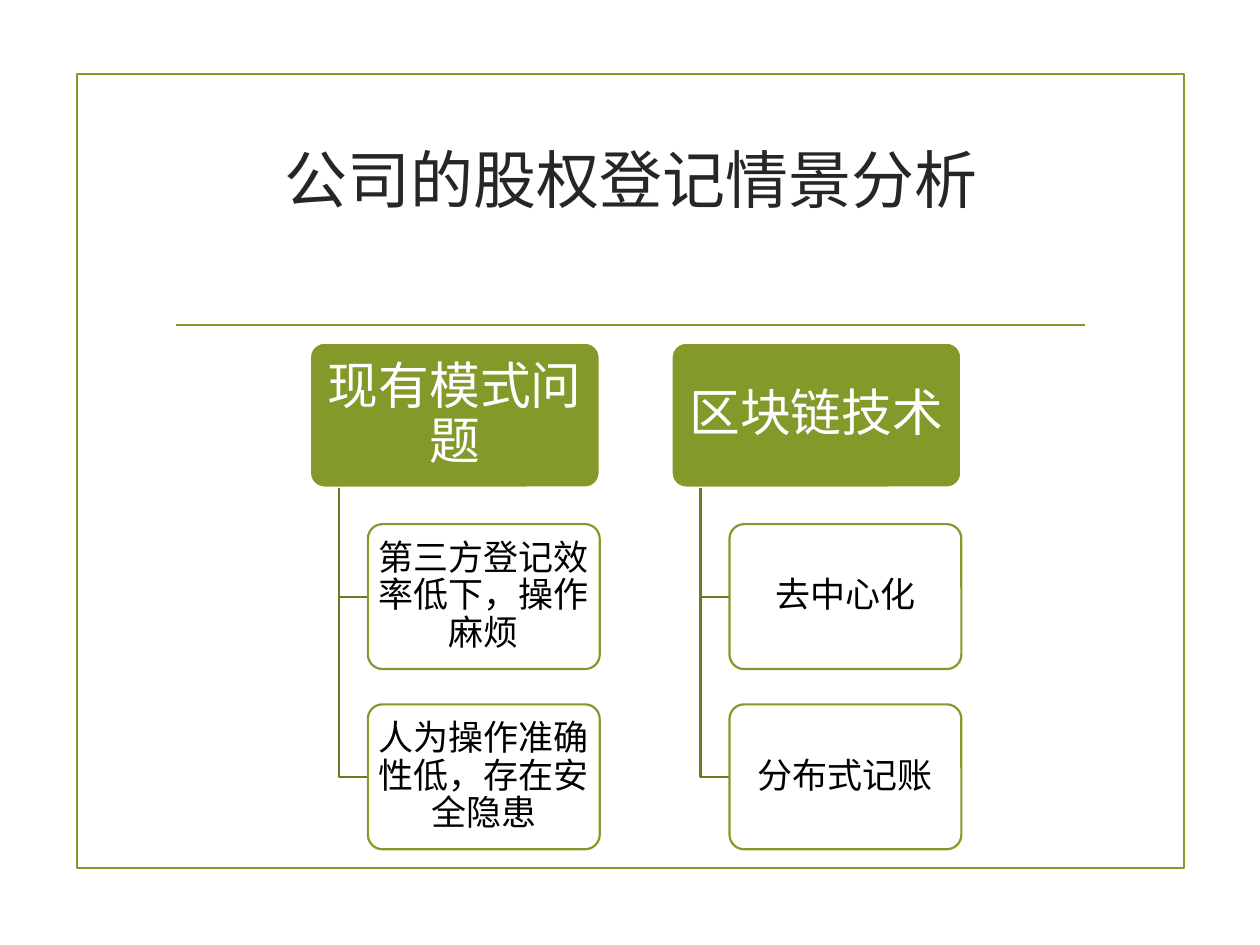
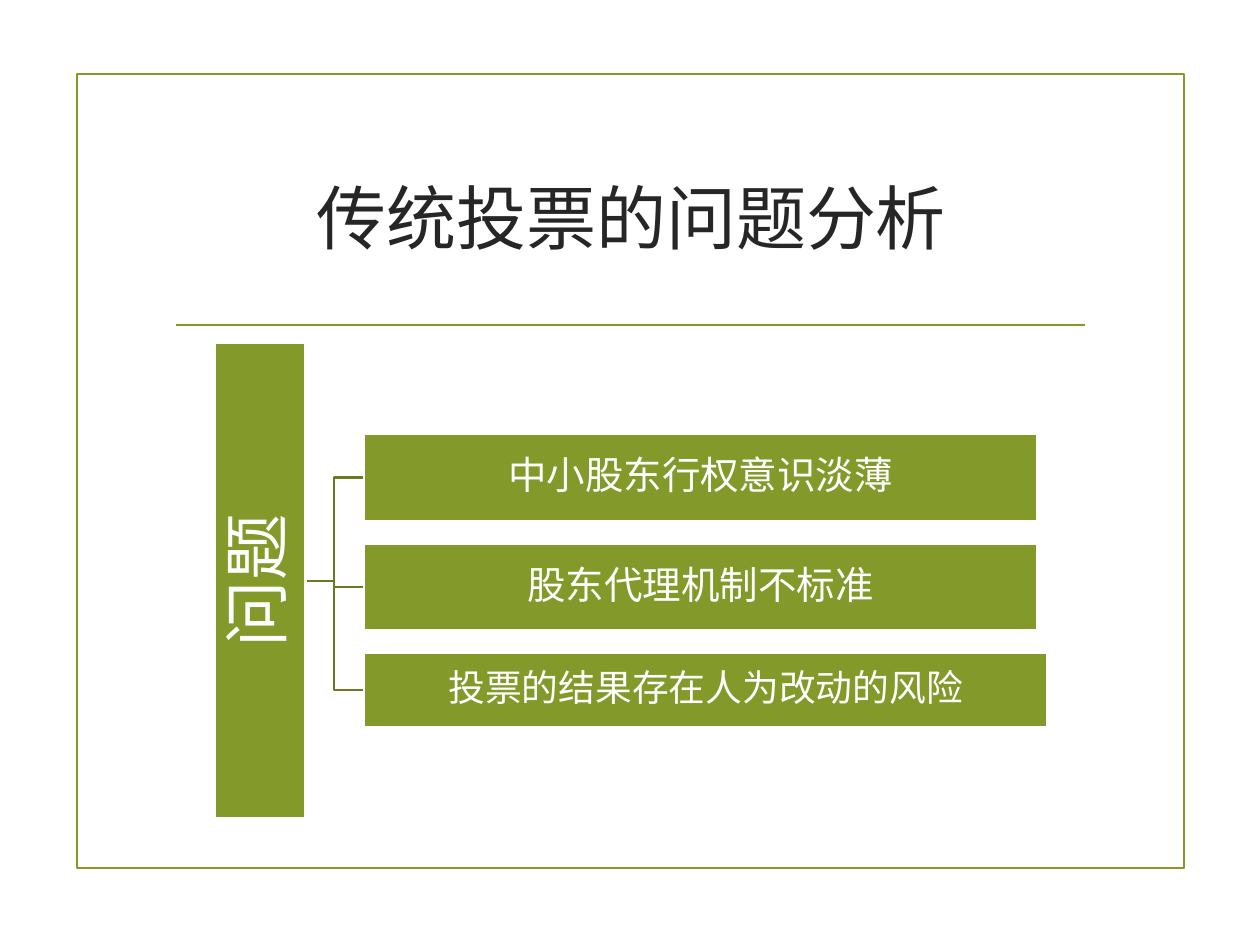
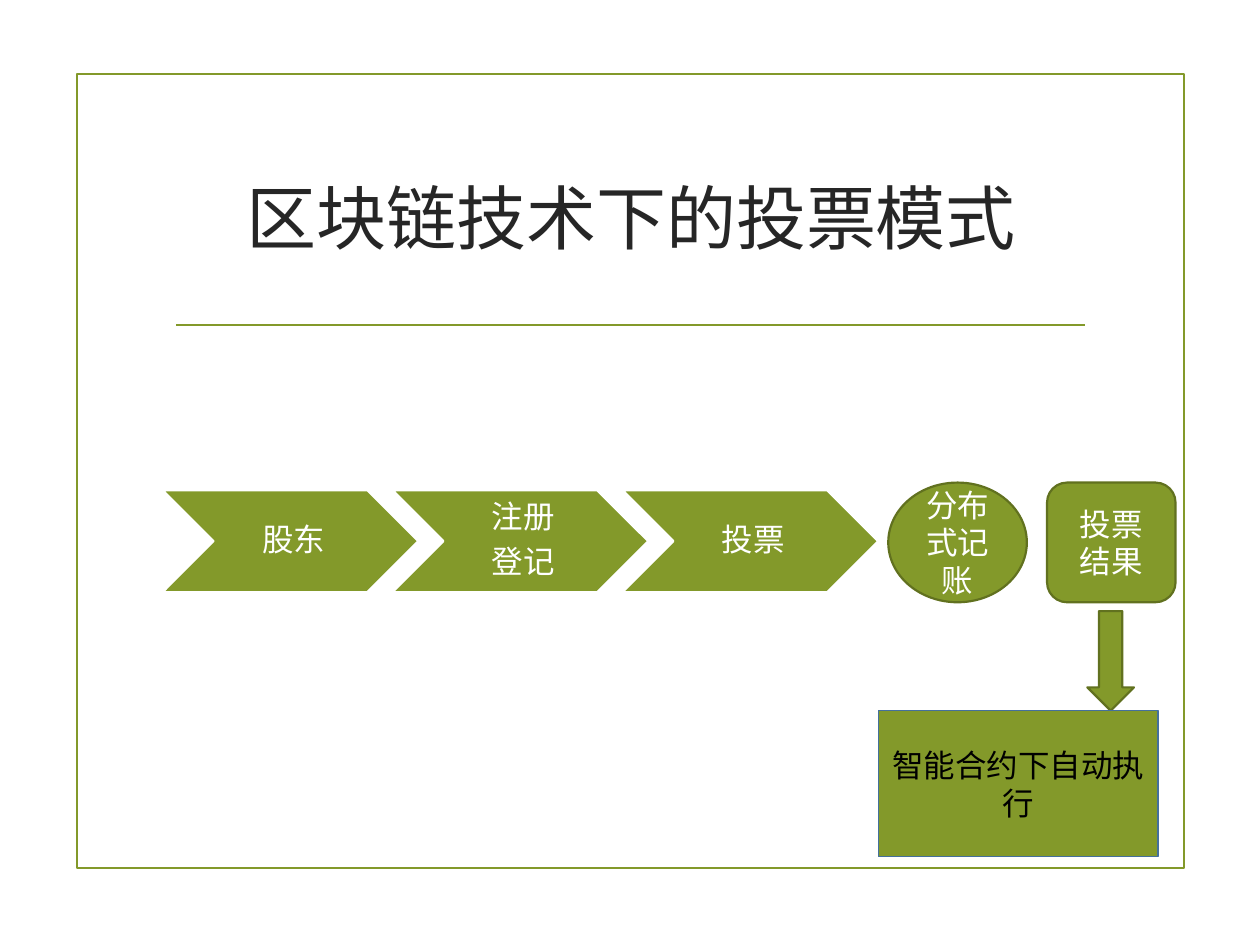
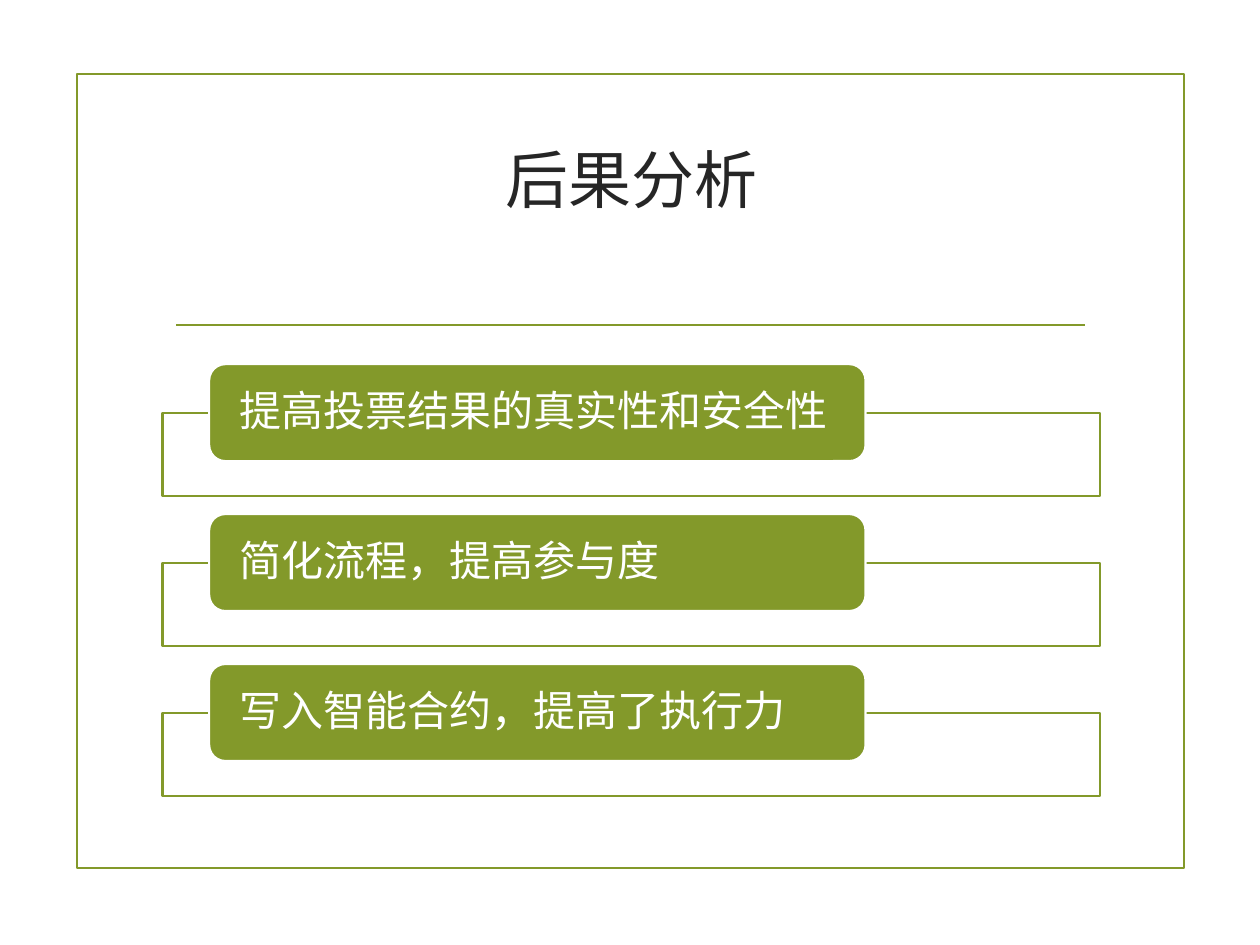
from pptx import Presentation
from pptx.dml.color import RGBColor
from pptx.enum.shapes import MSO_CONNECTOR, MSO_SHAPE
from pptx.enum.text import MSO_ANCHOR, PP_ALIGN
from pptx.oxml.ns import qn
from pptx.util import Inches, Pt
from lxml import etree

RECT, ROUND, OVAL = MSO_SHAPE.RECTANGLE, MSO_SHAPE.ROUNDED_RECTANGLE, MSO_SHAPE.OVAL
CHEVRON, DOWN_ARROW = MSO_SHAPE.CHEVRON, MSO_SHAPE.DOWN_ARROW
STRAIGHT = MSO_CONNECTOR.STRAIGHT
LEFT, CENTER, MIDDLE = PP_ALIGN.LEFT, PP_ALIGN.CENTER, MSO_ANCHOR.MIDDLE

FONT = "Times New Roman"
COLORS = {
    "green": "83992A",
    "branch": "697B22",
    "edge": "61711F",
    "blue": "44709D",
    "title": "262626",
    "white": "FFFFFF",
    "black": "000000",
}
RGB = {name: RGBColor.from_string(value) for name, value in COLORS.items()}
LINE_WIDTH = Pt(1.25)


def box(s, kind, at, text="", size=18, fill="green", line="white", color="white",
        insets=(0.1, 0.05, 0.1, 0.05), align=CENTER, spacing=0.9, after=0.35):
    """Add a shape; each line of text is a paragraph, after is a share of the size."""
    sp = s.shapes.add_shape(kind, *map(Inches, at))
    sp.shadow.inherit = False
    if fill:
        sp.fill.solid()
        sp.fill.fore_color.rgb = RGB[fill]
    else:
        sp.fill.background()
    sp.line.color.rgb = RGB[line]
    sp.line.width = LINE_WIDTH
    if text:
        tf = sp.text_frame
        tf.word_wrap = True
        tf.vertical_anchor = MIDDLE
        tf.margin_left, tf.margin_top, tf.margin_right, tf.margin_bottom = map(Inches, insets)
        for i, words in enumerate(text.split("\n")):
            p = tf.add_paragraph() if i else tf.paragraphs[0]
            p.alignment = align
            p.line_spacing = spacing
            p.space_after = Pt(size * after)
            r = p.add_run()
            r.text = words
            r.font.name = FONT
            r.font.size = Pt(size)
            r.font.color.rgb = RGB[color]
    return sp


def branch(s, *points):
    """Draw an open bent line through points given in inches."""
    start, *rest = [(Inches(x), Inches(y)) for x, y in points]
    builder = s.shapes.build_freeform(*start)
    builder.add_line_segments(rest, close=False)
    sp = builder.convert_to_shape()
    sp.shadow.inherit = False
    sp.fill.background()
    sp.line.color.rgb = RGB["branch"]
    sp.line.width = LINE_WIDTH


prs = Presentation()
prs.slide_width, prs.slide_height = Inches(10), Inches(7.5)
layout = prs.slide_layouts[5]
title = layout.placeholders[0]
title.left, title.top, title.width, title.height = map(Inches, (1.29, 1, 7.44, 1.43))

# Titles: text, size, bottom margin
slides = []
for text, size, bottom in [
    ("公司的股权登记情景分析", 36, 0.65),
    ("传统投票的问题分析", 40, 0.05),
    ("区块链技术下的投票模式", 40, 0.05),
    ("后果分析", 36, 0.65),
]:
    s = prs.slides.add_slide(layout)
    tf = s.shapes.title.text_frame
    tf.vertical_anchor = MIDDLE
    tf.margin_bottom = Inches(bottom)
    p = tf.paragraphs[0]
    p.alignment = CENTER
    r = p.add_run()
    r.text = text
    r.font.name = FONT
    r.font.size = Pt(size)
    r.font.color.rgb = RGB["title"]
    slides.append(s)
registry, voting, process, results = slides

# Frame and title rule, drawn once and moved to the layout
frame = box(registry, RECT, (0.61, 0.59, 8.79, 6.3), fill=None, line="green")
rule = registry.shapes.add_connector(
    STRAIGHT, Inches(1.4), Inches(2.58), Inches(8.61), Inches(2.58))
rule.line.color.rgb = RGB["green"]
rule.line.width = LINE_WIDTH
etree.SubElement(rule.element.spPr, qn("a:effectLst"))
for sp in (frame, rule):
    layout.shapes.element.append(sp.element)

# Share registry: two trees
TREE_TOP, HEAD_H, ITEM_STEP = 2.72, 1.15, 1.43
trees = [
    ("现有模式问题", ["第三方登记效率低下，操作麻烦", "人为操作准确性低，存在安全隐患"]),
    ("区块链技术", ["去中心化", "分布式记账"]),
]
for col, (head, items) in enumerate(trees):
    x = 2.46 + col * 2.87
    sp = box(registry, ROUND, (x, TREE_TOP, 2.3, HEAD_H), head, 29,
             insets=(0.06, 0.04, 0.06, 0.04))
    sp.adjustments[0] = 0.1
    for row, item in enumerate(items):
        y = 4.16 + row * ITEM_STEP
        mid = y + HEAD_H / 2
        branch(registry, (x + 0.23, TREE_TOP + HEAD_H), (x + 0.23, mid), (x + 0.46, mid))
        sp = box(registry, ROUND, (x + 0.46, y, 1.84, HEAD_H), item, 20, fill="white",
                 line="green", color="black", insets=(0.04, 0.03, 0.04, 0.03))
        sp.adjustments[0] = 0.1

# Voting problems: one upright bar, three branches
BAR_MID = 4.61
problems = [
    ("中小股东行权意识淡薄", 3.44, 5.34, 0.7, 22),
    ("股东代理机制不标准", 4.32, 5.34, 0.68, 22),
    ("投票的结果存在人为改动的风险", 5.18, 5.42, 0.59, 21),
]
for text, y, w, h, size in problems:
    mid = y + h / 2
    branch(voting, (2.42, BAR_MID), (2.65, BAR_MID), (2.65, mid), (2.89, mid))
bar = box(voting, RECT, (0.18, 4.25, 3.77, 0.72), "问题", 38, insets=(0.03,) * 4)
bar.rotation = 270
for text, y, w, h, size in problems:
    box(voting, RECT, (2.89, y, w, h), text, size, insets=(0.02,) * 4)

# Voting process
for i, step in enumerate(["股东", "注册\n登记", "投票"]):
    box(process, CHEVRON, (1.29 + i * 1.825, 3.89, 2.03, 0.81), step,
        insets=(0.08, 0.03, 0.03, 0.03))
for kind, at, text, line, color in [
    (OVAL, (7.05, 3.83, 1.1, 0.95), "分布式记账", "edge", "white"),
    (ROUND, (8.31, 3.83, 1.02, 0.95), "投票结果", "edge", "white"),
    (DOWN_ARROW, (8.63, 4.85, 0.37, 0.79), "", "edge", "white"),
    (RECT, (6.97, 5.64, 2.22, 1.16), "智能合约下自动执行", "blue", "black"),
]:
    sp = box(process, kind, at, text, line=line, color=color, spacing=1.0, after=0)
sp.line.width = Pt(0.75)

# Results
for i, text in enumerate([
    "提高投票结果的真实性和安全性",
    "简化流程，提高参与度",
    "写入智能合约，提高了执行力",
]):
    y = 2.89 + i * 1.19
    box(results, RECT, (1.29, y + 0.39, 7.44, 0.66), fill="white", line="green")
    box(results, ROUND, (1.66, y, 5.21, 0.77), text, 24, insets=(0.2, 0, 0.2, 0), align=LEFT)

prs.save("out.pptx")
